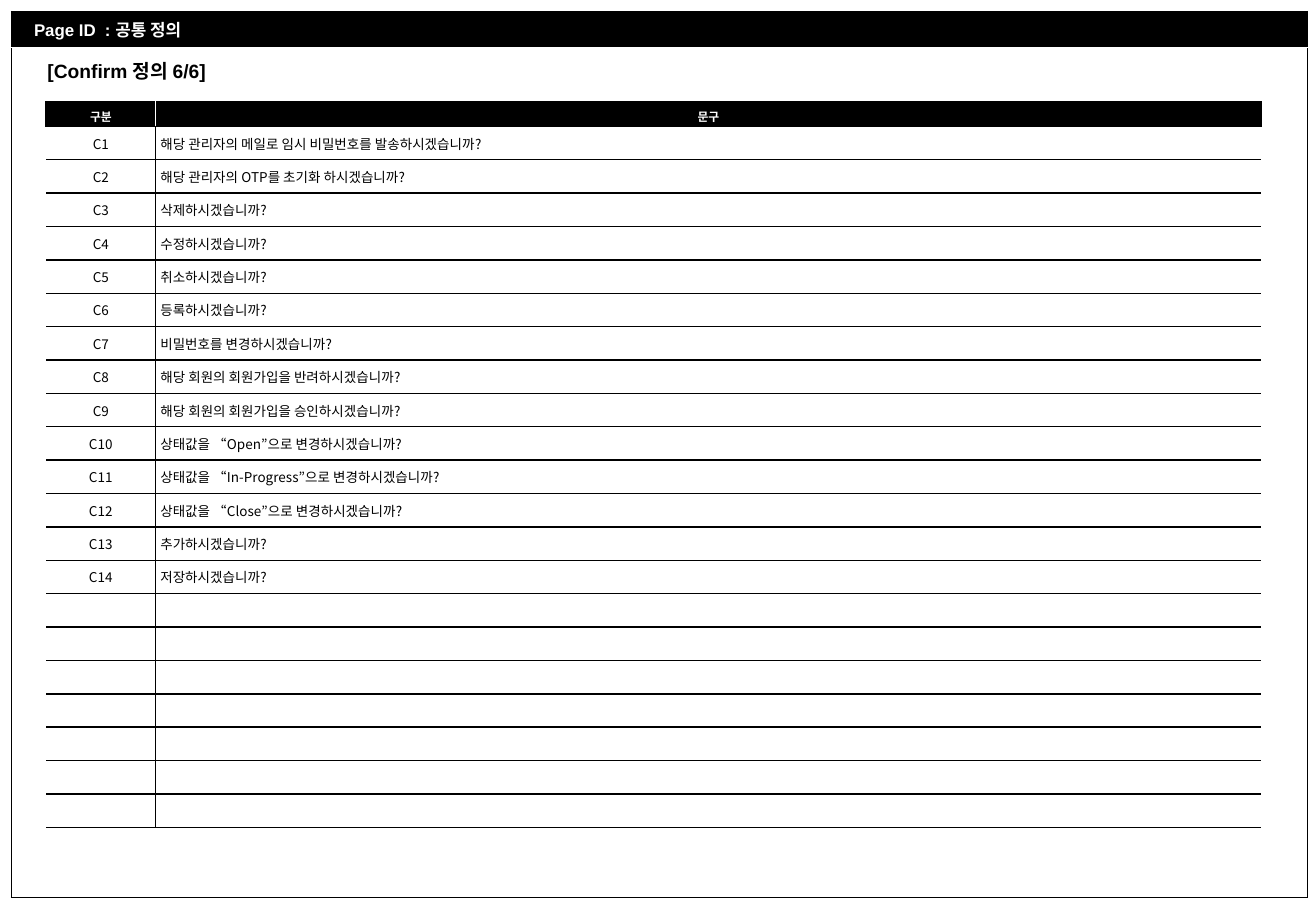
from dataclasses import dataclass
from typing import Optional

from lxml.etree import SubElement
from pptx import Presentation
from pptx.dml.color import RGBColor
from pptx.enum.text import MSO_ANCHOR, MSO_AUTO_SIZE, PP_ALIGN
from pptx.oxml import parse_xml
from pptx.oxml.ns import nsdecls, qn
from pptx.util import Emu, Pt

PX = 4572  # 200 px to the inch


@dataclass(frozen=True)
class Theme:
    black: str = "000000"
    white: str = "FFFFFF"
    latin: str = "Arial"
    korean: str = "Noto Sans CJK KR"
    page_size: float = 10
    title_size: float = 11.4
    head_size: float = 7
    body_size: float = 8


@dataclass(frozen=True)
class TextStyle:
    size: float
    color: str
    font: str
    bold: bool = False
    align: PP_ALIGN = PP_ALIGN.LEFT


@dataclass(frozen=True)
class Edge:
    color: str
    width: float


@dataclass(frozen=True)
class CellStyle:
    """Borders run left, right, top, bottom; margins run left, top, right, bottom."""
    text: TextStyle
    borders: tuple[Optional[Edge], ...]
    margins: tuple[int, int, int, int]
    fill: Optional[str] = None


T = Theme()
BLACK = Edge(T.black, 1)
WHITE = Edge(T.white, 1)
HAIR = Edge(T.black, 0.25)

PAGE_TEXT = TextStyle(T.page_size, T.white, T.latin, bold=True)
TITLE_TEXT = TextStyle(T.title_size, T.black, T.latin, bold=True)
HEAD_TEXT = TextStyle(T.head_size, T.white, T.korean, True, PP_ALIGN.CENTER)
CODE_TEXT = TextStyle(T.body_size, T.black, T.korean, align=PP_ALIGN.CENTER)
PHRASE_TEXT = TextStyle(T.body_size, T.black, T.korean)

HEAD_MARGINS = (8, 8, 8, 0)
BODY_MARGINS = (8, 8, 8, 8)
PAGE_BAR = CellStyle(PAGE_TEXT, (HAIR, HAIR, HAIR, WHITE), (38, 10, 8, 10), T.black)
PAGE_BODY = CellStyle(PHRASE_TEXT, (HAIR, HAIR, WHITE, HAIR), BODY_MARGINS)
HEAD_CODE = CellStyle(HEAD_TEXT, (BLACK, WHITE, BLACK, BLACK), HEAD_MARGINS, T.black)
HEAD_PHRASE = CellStyle(HEAD_TEXT, (WHITE, BLACK, BLACK, BLACK), HEAD_MARGINS, T.black)
CODE = CellStyle(CODE_TEXT, (None, BLACK, BLACK, BLACK), BODY_MARGINS, T.white)
PHRASE = CellStyle(PHRASE_TEXT, (BLACK, None, BLACK, BLACK), BODY_MARGINS, T.white)

BODY_ROWS = 21
PHRASES = [
    "해당 관리자의 메일로 임시 비밀번호를 발송하시겠습니까?",
    "해당 관리자의 OTP를 초기화 하시겠습니까?",
    "삭제하시겠습니까?",
    "수정하시겠습니까?",
    "취소하시겠습니까?",
    "등록하시겠습니까?",
    "비밀번호를 변경하시겠습니까?",
    "해당 회원의 회원가입을 반려하시겠습니까?",
    "해당 회원의 회원가입을 승인하시겠습니까?",
    "상태값을 “Open”으로 변경하시겠습니까?",
    "상태값을 “In-Progress”으로 변경하시겠습니까?",
    "상태값을 “Close”으로 변경하시겠습니까?",
    "추가하시겠습니까?",
    "저장하시겠습니까?",
]


def px(n: int) -> Emu:
    return Emu(n * PX)


def write(tf, text: str, style: TextStyle) -> None:
    p = tf.paragraphs[0]
    p.alignment = style.align
    p.font.size = Pt(style.size)
    p.font.bold = style.bold
    p.font.name = style.font
    p.font.color.rgb = RGBColor.from_string(style.color)
    east_asian = SubElement(p._p.pPr.find(qn("a:defRPr")), qn("a:ea"))
    east_asian.set("typeface", T.korean)
    if text:
        p.add_run().text = text
    else:
        p._p.get_or_add_endParaRPr().set("sz", str(int(style.size * 100)))


def set_borders(cell, borders: tuple[Optional[Edge], ...]) -> None:
    tc_pr = cell._tc.get_or_add_tcPr()
    for i, (side, edge) in enumerate(zip("LRTB", borders)):
        if edge:
            width = Pt(edge.width)
            paint = f'<a:solidFill><a:srgbClr val="{edge.color}"/></a:solidFill>'
        else:
            width, paint = 0, "<a:noFill/>"
        tc_pr.insert(i, parse_xml(
            f'<a:ln{side} {nsdecls("a")} w="{width}">{paint}</a:ln{side}>'))


def fill_cell(cell, text: str, style: CellStyle) -> None:
    if style.fill:
        cell.fill.solid()
        cell.fill.fore_color.rgb = RGBColor.from_string(style.fill)
    else:
        cell.fill.background()
    (cell.margin_left, cell.margin_top,
     cell.margin_right, cell.margin_bottom) = map(px, style.margins)
    cell.vertical_anchor = MSO_ANCHOR.MIDDLE
    write(cell.text_frame, text, style.text)
    set_borders(cell, style.borders)


def add_grid(s, left: int, top: int, widths: list[int], heights: list[int],
             rows: list[list[tuple[str, CellStyle]]]) -> None:
    table = s.shapes.add_table(len(heights), len(widths), px(left), px(top),
                               px(sum(widths)), px(sum(heights))).table
    table.first_row = table.horz_banding = False
    for column, width in zip(table.columns, widths):
        column.width = px(width)
    for row, height, cells in zip(table.rows, heights, rows):
        row.height = px(height)
        for cell, (text, style) in zip(row.cells, cells):
            fill_cell(cell, text, style)


def set_title(s, text: str) -> None:
    title = s.shapes.title
    title.left, title.top, title.width, title.height = map(px, (58, 88, 322, 58))
    tf = title.text_frame
    tf.word_wrap = False
    tf.auto_size = MSO_AUTO_SIZE.SHAPE_TO_FIT_TEXT
    tf.vertical_anchor = MSO_ANCHOR.TOP
    write(tf, text, TITLE_TEXT)


def main() -> None:
    prs = Presentation()
    prs.slide_width, prs.slide_height = px(2166), px(1500)
    s = prs.slides.add_slide(prs.slide_layouts[5])

    set_title(s, "[Confirm 정의 6/6]")
    add_grid(s, 18, 18, [2134], [60, 1400],
             [[("Page ID  : 공통 정의", PAGE_BAR)], [("", PAGE_BODY)]])

    entries = [(f"C{n}", phrase) for n, phrase in enumerate(PHRASES, 1)]
    entries += [("", "")] * (BODY_ROWS - len(entries))
    rows = [[("구분", HEAD_CODE), ("문구", HEAD_PHRASE)]]
    rows += [[(code, CODE), (phrase, PHRASE)] for code, phrase in entries]
    add_grid(s, 76, 168, [180, 1820], [40] + [55] * BODY_ROWS, rows)

    prs.save("out.pptx")


if __name__ == "__main__":
    main()
